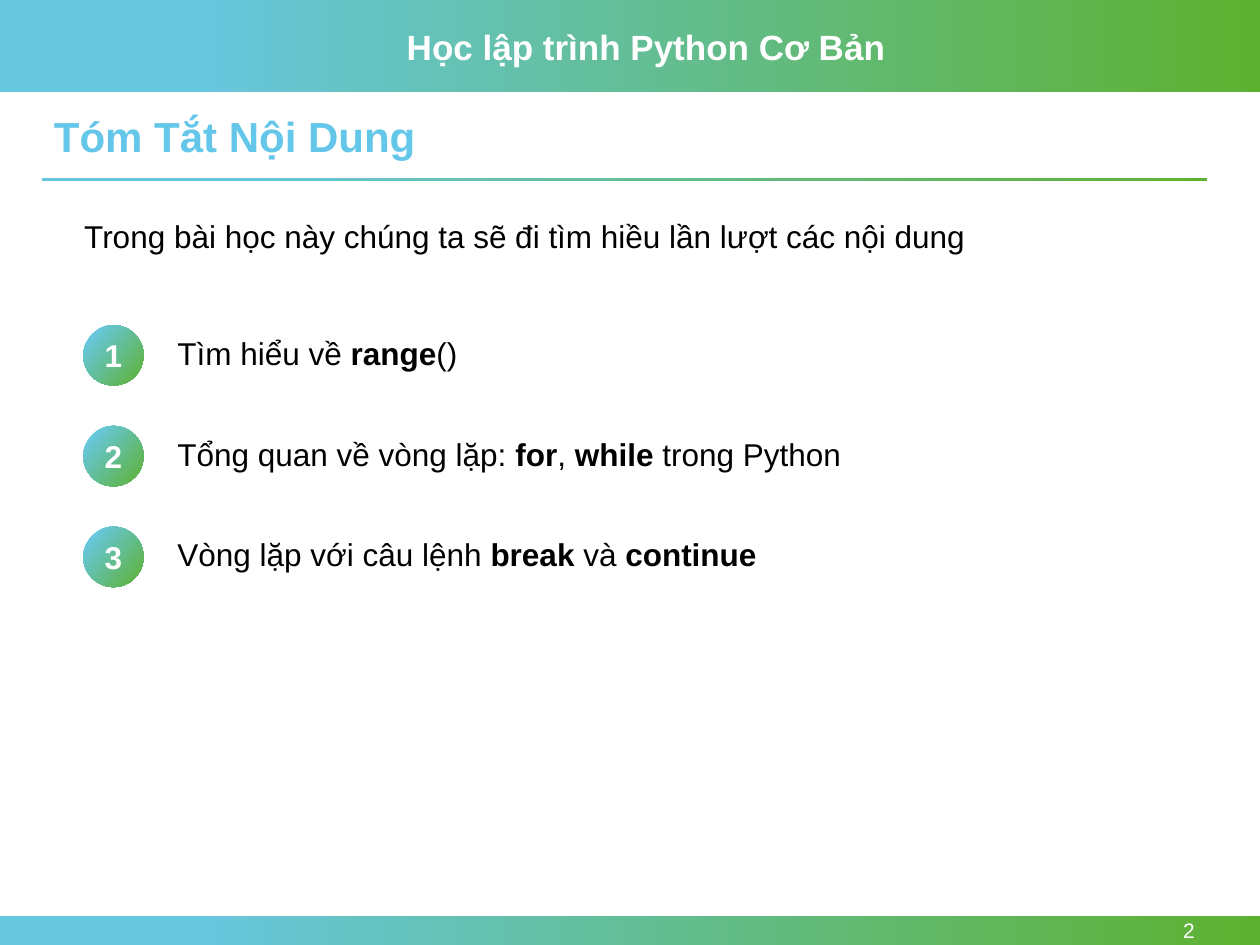
from pptx import Presentation
from pptx.dml.color import RGBColor
from pptx.enum.shapes import MSO_SHAPE
from pptx.enum.text import MSO_ANCHOR, PP_ALIGN
from pptx.util import Inches, Pt

RECT, OVAL = MSO_SHAPE.RECTANGLE, MSO_SHAPE.OVAL
TOP, MIDDLE = MSO_ANCHOR.TOP, MSO_ANCHOR.MIDDLE
LEFT, CENTER, RIGHT = PP_ALIGN.LEFT, PP_ALIGN.CENTER, PP_ALIGN.RIGHT
W, H = 10, 7.5
MARGIN, CONTENT_W = 0.33, 9.25
FONT = "Arial"
WHITE, BLACK, SKY = "FFFFFF", "000000", "64C7E9"
GRADIENT = ((0.15, "67C7DF"), (1, "5EB130"))

TOPICS = [
    [("Tìm hiểu về ", False), ("range", True), ("()", False)],
    [("Tổng quan về vòng lặp: ", False), ("for", True), (", ", False),
     ("while", True), (" trong Python", False)],
    [("Vòng lặp với câu lệnh ", False), ("break ", True), ("và", False),
     (" continue", True)],
]


def rgb(value):
    return RGBColor.from_string(value)


def write(sp, runs, size, color, align=LEFT, anchor=TOP):
    tf = sp.text_frame
    tf.word_wrap = True
    tf.vertical_anchor = anchor
    p = tf.paragraphs[0]
    p.alignment = align
    for text, bold in runs:
        r = p.add_run()
        r.text = text
        r.font.name = FONT
        r.font.size = Pt(size)
        r.font.bold = bold
        r.font.color.rgb = rgb(color)
    return p


def add_text(s, box, runs, size, color, **layout):
    sp = s.shapes.add_textbox(*map(Inches, box))
    return write(sp, runs, size, color, **layout)


def add_gradient(s, kind, box, angle=0):
    sp = s.shapes.add_shape(kind, *map(Inches, box))
    sp.shadow.inherit = False
    sp.line.fill.background()
    sp.fill.gradient()
    sp.fill.gradient_angle = -angle % 360
    for stop, (position, color) in zip(sp.fill.gradient_stops, GRADIENT):
        stop.position = position
        stop.color.rgb = rgb(color)
    return sp


def add_header(s, x, y, w, h):
    add_gradient(s, RECT, (x, y, w, h))
    add_text(s, (x + 3.13, y + 0.15, 0.4 * w, 0.44),
             [("Học lập trình Python Cơ Bản", True)], 20, WHITE)


def add_footer(s, x, y, w, h):
    add_gradient(s, RECT, (x, y, w, h))
    add_text(s, (MARGIN + CONTENT_W - 0.92, y, 0.92, h), [("2", False)],
             12, WHITE, align=RIGHT, anchor=MIDDLE)


def add_title(s, x, y, w, h):
    p = add_text(s, (x, y, w, 0.46), [("Tóm Tắt Nội Dung", True)], 24, SKY)
    p.line_spacing = 0.9
    add_gradient(s, RECT, (x, y + h - 0.03, w, 0.03))


def add_topics(s, x, y, w, row_h):
    size = 0.6 * row_h
    for i, runs in enumerate(TOPICS):
        top = y + i * row_h
        badge = add_gradient(s, OVAL, (x, top, size, size), angle=40)
        write(badge, [(str(i + 1), True)], 18, WHITE, CENTER, MIDDLE)
        badge.text_frame.margin_left = badge.text_frame.margin_right = 0
        add_text(s, (x + 0.65, top + 0.02, w - 0.65, 0.4), runs, 18, BLACK)


def main():
    prs = Presentation()
    prs.slide_width, prs.slide_height = Inches(W), Inches(H)
    s = prs.slides.add_slide(prs.slide_layouts[6])
    add_header(s, 0, 0, W, 0.73)
    add_footer(s, 0, H - 0.23, W, 0.23)
    add_title(s, MARGIN, 0.87, CONTENT_W, 0.57)
    add_text(s, (0.57, 1.67, 9.01, 0.4),
             [("Trong bài học này chúng ta sẽ đi tìm hiều lần lượt các nội dung",
               False)], 18, BLACK)
    add_topics(s, 0.66, 2.58, 6.31, 0.8)
    prs.save("out.pptx")


if __name__ == "__main__":
    main()
